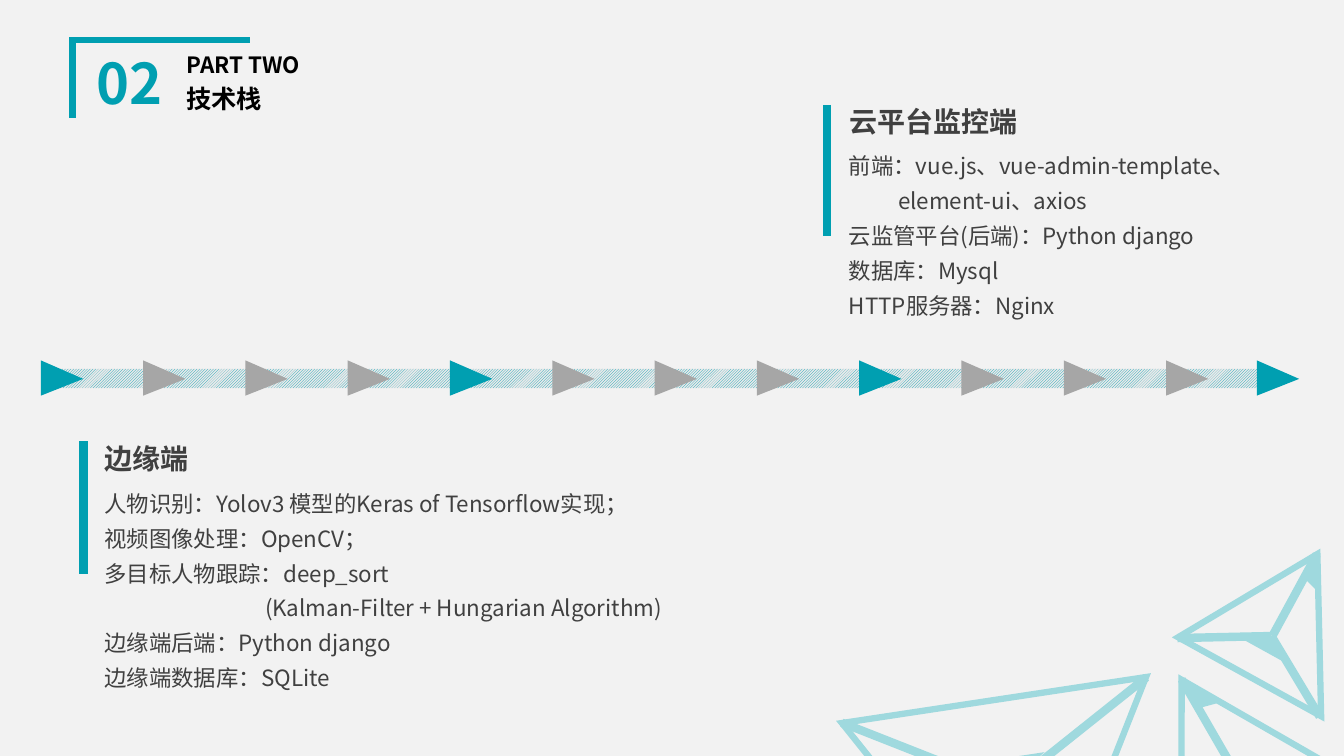
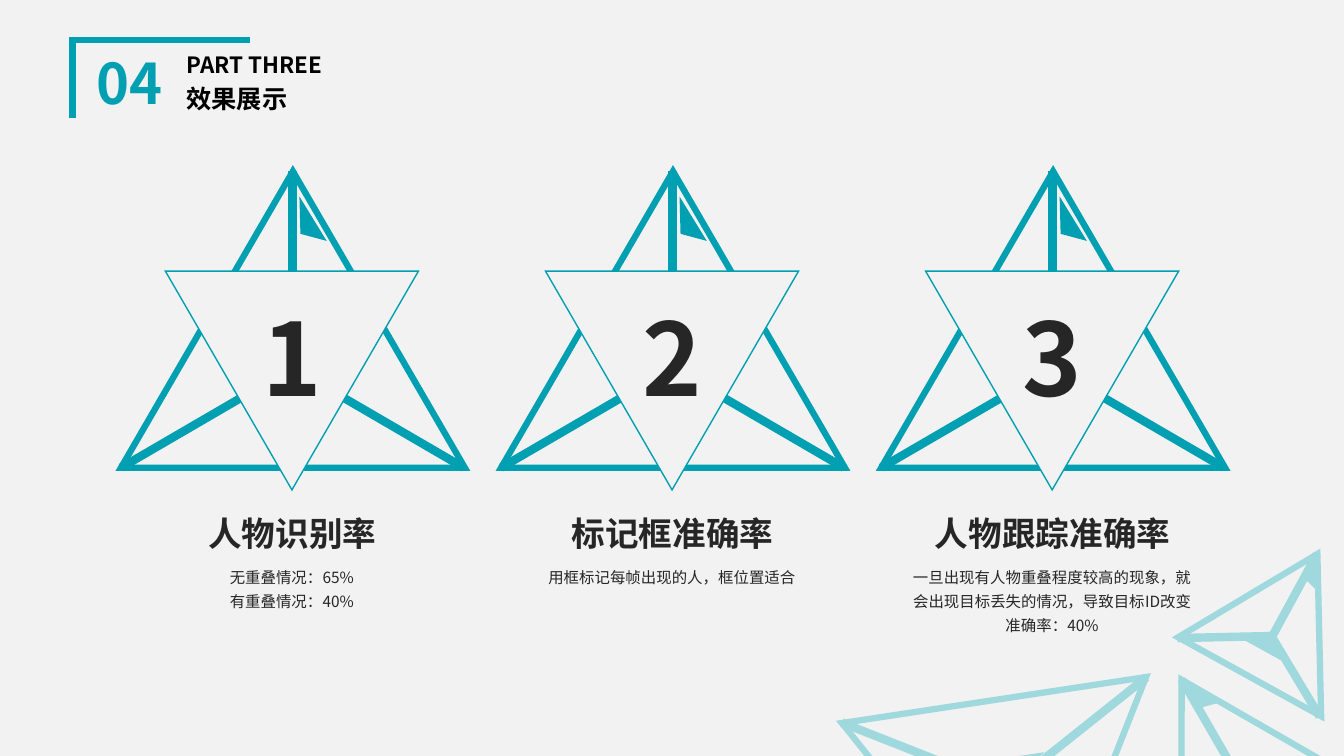
"""Build the tech stack slide and the results slide."""
from lxml import etree
from pptx import Presentation
from pptx import util as u
from pptx.dml.color import RGBColor
from pptx.enum import dml, shapes, text
from pptx.oxml.ns import qn

FONT = "Noto Sans CJK SC"
TEAL, PALE, GREY, PAPER, HATCH = "009FB1", "9FD9DE", "A6A6A6", "F2F2F2", "E9E9E9"
BLACK, DARK, INK = "000000", "404040", "262626"
LEFT, MID = text.PP_ALIGN.LEFT, text.PP_ALIGN.CENTER

STACK = ("02", "PART TWO", "技术栈")
RESULT = ("04", "PART THREE", "效果展示")

HEADS = {1: (0.82, 0.49, 0.93, 0.73), 3: (1.75, 0.49, 2.67, 0.34), 0: (1.75, 0.78, 2.67, 0.44)}

DECOR = [
    {"tri": (8.53, 6.93, 3.05, 2.63, 171.4),
     "arms": [(11.37, 6.72, 9.99, 7.82), (8.35, 7.17, 10, 7.82)],
     "core": (9.57, 7.53, 0.79, 0.24, 171.4)},
    {"tri": (11.16, 6.63, 1.97, 1.7, 330),
     "arms": [(11.72, 6.74, 12.28, 7.71)],
     "flag": [(11.92, 7.01), (12.07, 6.97), (11.81, 6.82)]},
    {"tri": (11.92, 5.41, 1.62, 1.39, 28.9),
     "arms": [(13.06, 5.5, 12.62, 6.31), (11.68, 6.33, 12.61, 6.31), (13.09, 7.11, 12.61, 6.31)],
     "core": (12.36, 6.33, 0.42, 0.13, 28.9),
     "flag": [(12.96, 5.75), (13.05, 5.84), (13.04, 5.6)]},
]

PANELS = [
    {"bar": (0.83, 4.38, 0.83, 5.69), "name": "边缘端",
     "head": (0.94, 4.33, 2.63, 0.44), "body": (0.94, 4.73, 8.37, 2.55),
     "lines": ["人物识别：Yolov3 模型的Keras of Tensorflow实现；", "视频图像处理：OpenCV；",
               "多目标人物跟踪：deep_sort", "(Kalman-Filter + Hungarian Algorithm)",
               "边缘端后端：Python django", "边缘端数据库：SQLite"],
     "indent": (3, 1.59)},
    {"bar": (8.2, 1.04, 8.2, 2.34), "name": "云平台监控端",
     "head": (8.33, 0.99, 2, 0.44), "body": (8.32, 1.38, 4.81, 1.84),
     "lines": ["前端：vue.js、vue-admin-template、", "element-ui、axios",
               "云监管平台(后端)：Python django", "数据库：Mysql", "HTTP服务器：Nginx"],
     "indent": (1, 0.49)},
]

RATES = [
    ("人物识别率", ["无重叠情况：65%", "有重叠情况：40%"], 0.58),
    ("标记框准确率", ["用框标记每帧出现的人，框位置适合"], 0.32),
    ("人物跟踪准确率", ["一旦出现有人物重叠程度较高的现象，就会出现目标丢失的情况，导致目标ID改变",
                 "准确率：40%"], 0.82),
]


def rgb(hue):
    return RGBColor.from_string(hue)


def inch(vals):
    return [u.Inches(v) for v in vals]


def paint(shape, fill=None, line=None, width=1):
    shape.shadow.inherit = False
    if fill:
        shape.fill.solid()
        shape.fill.fore_color.rgb = rgb(fill)
    else:
        shape.fill.background()
    if line:
        shape.line.color.rgb = rgb(line)
        shape.line.width = u.Pt(width)
        etree.SubElement(shape.element.spPr.find(qn("a:ln")), qn("a:miter"), lim="800000")
    else:
        shape.line.fill.background()


def wedge(pool, box, fill, line=None, width=1, turn=0):
    shape = pool.add_shape(shapes.MSO_SHAPE.ISOSCELES_TRIANGLE, *inch(box))
    shape.rotation = turn
    paint(shape, fill, line, width)
    return shape


def trace(pool, pts, fill=None, line=None, width=1):
    first, *rest = [inch(p) for p in pts]
    path = pool.build_freeform(*first)
    path.add_line_segments(rest, close=bool(fill))
    paint(path.convert_to_shape(), fill, line, width)


def rule(pool, ends, hue):
    line = pool.add_connector(shapes.MSO_CONNECTOR.STRAIGHT, *inch(ends))
    line.line.color.rgb = rgb(hue)
    line.line.width = u.Pt(6)
    etree.SubElement(line.element.spPr, qn("a:effectLst"))


def write(shape, lines, size, hue, bold=False, align=LEFT, space=1.0,
          anchor=text.MSO_ANCHOR.TOP, wrap=True):
    frame = shape.text_frame
    frame.word_wrap = wrap
    frame.auto_size = text.MSO_AUTO_SIZE.NONE
    frame.vertical_anchor = anchor
    frame.text = "\n".join(lines)
    for para in frame.paragraphs:
        para.alignment = align
        para.line_spacing = space
        para.space_before = u.Pt(0)
        for run in para.runs:
            font = run.font
            font.size, font.bold, font.name = u.Pt(size), bold, FONT
            font.color.rgb = rgb(hue)
            etree.SubElement(font._element, qn("a:ea"), typeface=FONT)
    return frame


def label(pool, box, *args, **opts):
    return write(pool.add_textbox(*inch(box)), *args, **opts)


def trim(layout):
    for ph in list(layout.placeholders):
        box = HEADS.get(ph.placeholder_format.idx)
        if box:
            ph.left, ph.top, ph.width, ph.height = inch(box)
        else:
            ph.element.getparent().remove(ph.element)


def adorn(layout, slide):
    group = slide.shapes.add_group_shape()
    pool = group.shapes
    trace(pool, [(0.72, 1.17), (0.72, 0.4), (2.48, 0.4)], line=TEAL, width=4.5)
    for part in DECOR:
        *box, turn = part["tri"]
        wedge(pool, box, PAPER, PALE, 4.5, turn)
        for arm in part["arms"]:
            rule(pool, arm, PALE)
        if "core" in part:
            *box, turn = part["core"]
            wedge(pool, box, PALE, PALE, 1, turn)
        if "flag" in part:
            trace(pool, part["flag"], PALE, PALE)
    tree = layout.shapes.element
    tree.append(group.element)
    for num, item in enumerate(tree.iter(qn("p:cNvPr")), 1):
        item.set("id", str(num))


def start(prs, layout, heads):
    slide = prs.slides.add_slide(layout)
    num, part, name = heads
    slots = {ph.placeholder_format.idx: ph for ph in slide.placeholders}
    mid = text.MSO_ANCHOR.MIDDLE
    write(slots[1], [num], 40, TEAL, True, MID, 0.9, mid)
    write(slots[3], [part], 16, BLACK, True, LEFT, 0.9, mid)
    write(slots[0], [name], 18, BLACK, True, LEFT, 0.9, mid)
    return slide


def stack(pool):
    band = pool.add_shape(shapes.MSO_SHAPE.RECTANGLE, *inch((0.41, 3.66, 12.23, 0.19)))
    paint(band)
    band.fill.patterned()
    band.fill.pattern = dml.MSO_PATTERN.LIGHT_UPWARD_DIAGONAL
    band.fill.fore_color.rgb, band.fill.back_color.rgb = rgb(TEAL), rgb(HATCH)
    step = 11.16 / 11
    for i, x in enumerate([0.44 + n * step for n in range(12)] + [12.5]):
        mark = wedge(pool, (x, 3.54, 0.35, 0.42), GREY if i % 4 else TEAL, turn=90)
        mark.adjustments[0] = 0.525
    for pan in PANELS:
        rule(pool, pan["bar"], TEAL)
        label(pool, pan["head"], [pan["name"]], 20, DARK, True)
        frame = label(pool, pan["body"], pan["lines"], 16, DARK, space=1.3)
        row, gap = pan["indent"]
        frame.paragraphs[row]._p.get_or_add_pPr().set("marL", str(u.Inches(gap)))


def badge(pool, mid, num):
    wedge(pool, (mid - 1.7, 1.7, 3.41, 2.94), PAPER, TEAL, 4.5)
    for x, y in [(0, 1.7), (-1.7, 4.64), (1.7, 4.64)]:
        rule(pool, (mid + x, y, mid, 3.65), TEAL)
    trace(pool, [(mid + x, y) for x, y in [(0.08, 2.32), (0.34, 2.39), (0.07, 1.95)]], TEAL)
    wedge(pool, (mid - 1.26, 2.69, 2.51, 2.17), PAPER, TEAL, 1, 180)
    label(pool, (mid - 0.41, 2.88, 0.82, 1.31), [str(num)], 72, INK, True, MID, wrap=False)


def rates(pool):
    for i, (name, lines, high) in enumerate(RATES):
        mid = 2.9 + i * 3.77
        wide = 0.2 + len(name) / 3
        badge(pool.add_group_shape().shapes, mid, i + 1)
        label(pool, (mid - wide / 2, 5.04, wide, 0.5), [name], 24, INK, True, MID, wrap=False)
        label(pool, (mid - 1.52, 5.53, 3.03, high), lines, 11, INK, align=MID, space=1.3)


def main():
    prs = Presentation()
    prs.slide_width, prs.slide_height = inch((13.33, 7.5))
    back = prs.slide_master.background.fill
    back.solid()
    back.fore_color.rgb = rgb(PAPER)
    layout = prs.slide_layouts[4]
    trim(layout)
    first = start(prs, layout, STACK)
    adorn(layout, first)
    stack(first.shapes)
    rates(start(prs, layout, RESULT).shapes)
    prs.save("out.pptx")


if __name__ == "__main__":
    main()
